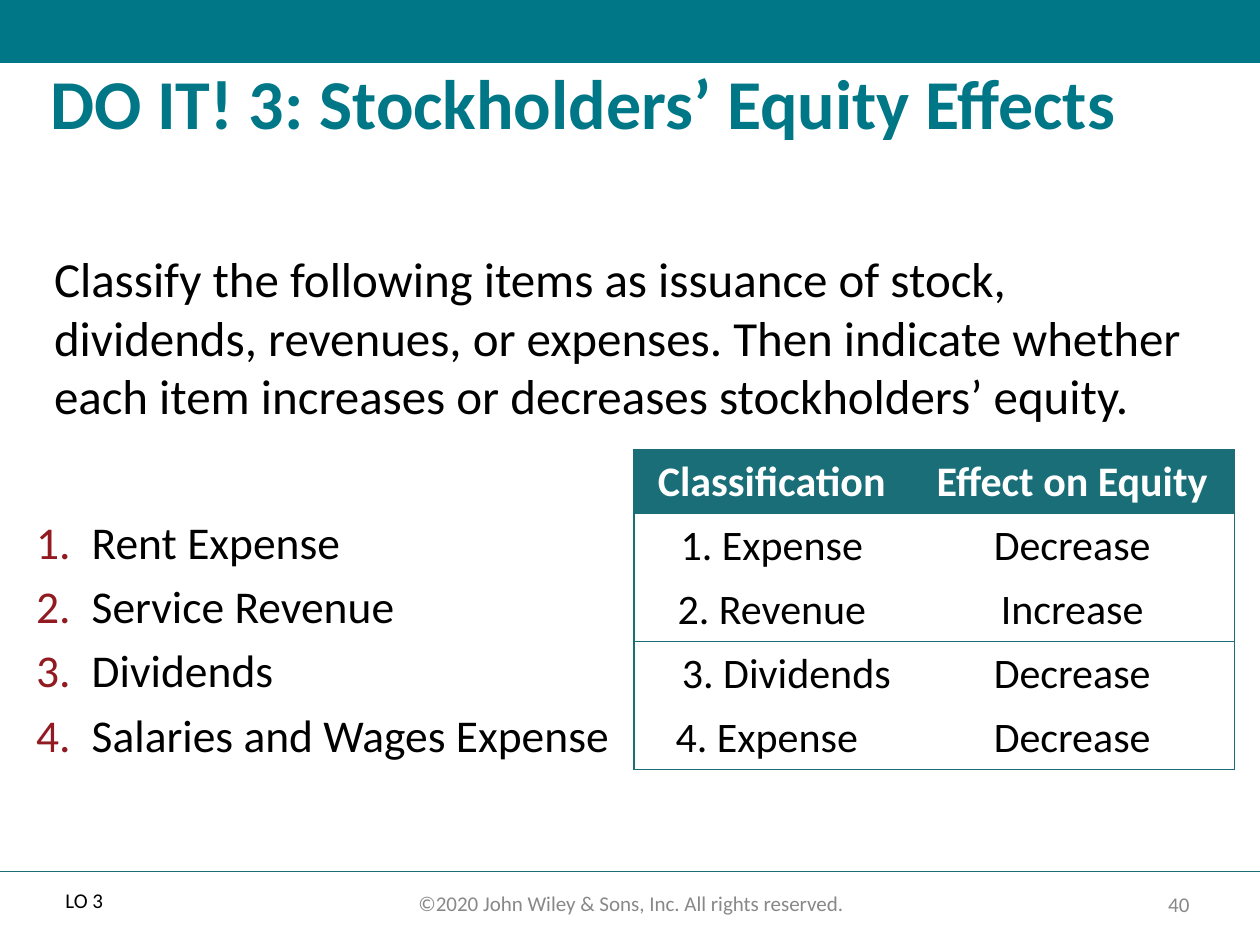
from lxml.etree import SubElement
from pptx import Presentation
from pptx.dml.color import RGBColor
from pptx.enum.shapes import MSO_CONNECTOR, MSO_SHAPE
from pptx.enum.text import MSO_ANCHOR, PP_ALIGN
from pptx.oxml import parse_xml
from pptx.oxml.ns import nsdecls, qn
from pptx.util import Cm, Pt

COLORS = {"teal": "007787", "deep": "196E78", "red": "911B21",
          "gray": "888888", "black": "000000", "white": "FFFFFF"}

# text, (left, top, width, height) in cm, font, paragraph format, anchor
TEXTS = [
    ("©2020 John Wiley & Sons, Inc. All rights reserved.",
     (7.72, 17.83, 10.01, 0.76), {"size": Pt(12)}, "gray",
     {"alignment": PP_ALIGN.CENTER}, MSO_ANCHOR.TOP),
    ("40", (22.99, 17.88, 1.55, 0.71), {"size": Pt(12)}, "gray",
     {"alignment": PP_ALIGN.CENTER}, MSO_ANCHOR.MIDDLE),
    ("DO IT! 3: Stockholders’ Equity Effects",
     (0.76, 1.27, 23.72, 2.72), {"size": Pt(40), "bold": True}, "teal",
     {"line_spacing": 0.9}, MSO_ANCHOR.TOP),
    ("Classify the following items as issuance of stock, dividends, revenues, "
     "or expenses. Then indicate whether each item increases or decreases "
     "stockholders’ equity.",
     (0.84, 4.88, 23.7, 4.01), {"size": Pt(28)}, "black", {}, MSO_ANCHOR.TOP),
    ("LO 3", (1.07, 17.83, 1.55, 0.76), {"size": Pt(12)}, "black",
     {"line_spacing": 0.9}, MSO_ANCHOR.TOP),
]
ITEMS = ["Rent Expense", "Service Revenue", "Dividends",
         "Salaries and Wages Expense"]
ITEMS_BOX = (0.48, 10.24, 12.85, 7.06)
ITEM_INDENT = Cm(1.12)

ANSWERS = [
    ("Classification", "Effect on Equity"),
    ("1. Expense", "Decrease"),
    ("2. Revenue", "Increase"),
    ("3. Dividends", "Decrease"),
    ("4. Expense", "Decrease"),
]
ANSWER_COLUMNS = (5.56, 6.55)
ANSWER_ROW = 1.29
RULED_BELOW = (0, 2, 4)
INDENTED = {(3, 0), (4, 0)}
LEFT_ALIGNED = {(4, 0)}


def rgb(name):
    return RGBColor.from_string(COLORS[name])


def apply(target, values):
    for key, value in values.items():
        setattr(target, key, value)


def set_font(paragraph, values, color):
    apply(paragraph.font, {"name": "Calibri", **values})
    paragraph.font.color.rgb = rgb(color)


def add_frame(slide, box, anchor=MSO_ANCHOR.TOP):
    frame = slide.shapes.add_textbox(*map(Cm, box)).text_frame
    apply(frame, {"word_wrap": True, "vertical_anchor": anchor})
    return frame


def add_number(paragraph):
    """Give the paragraph a red automatic number and a hanging indent."""
    properties = paragraph._p.get_or_add_pPr()
    properties.set("marL", str(ITEM_INDENT))
    properties.set("indent", str(-ITEM_INDENT))
    bullet_color = SubElement(properties, qn("a:buClr"))
    SubElement(bullet_color, qn("a:srgbClr"), val=COLORS["red"])
    SubElement(properties, qn("a:buAutoNum"), type="arabicPeriod")


def set_borders(cell, shown):
    """Draw the sides named in shown and clear the other ones."""
    properties = cell._tc.get_or_add_tcPr()
    for place, side in enumerate("LRTB"):
        paint = (f'<a:solidFill><a:srgbClr val="{COLORS["deep"]}"/></a:solidFill>'
                 if side in shown else "<a:noFill/>")
        properties.insert(place, parse_xml(
            f'<a:ln{side} {nsdecls("a")} w="{Pt(0.75)}">{paint}</a:ln{side}>'))


def add_answers(slide):
    table = slide.shapes.add_table(
        len(ANSWERS), len(ANSWER_COLUMNS), Cm(12.78), Cm(9.07),
        Cm(sum(ANSWER_COLUMNS)), Cm(ANSWER_ROW * len(ANSWERS))).table
    apply(table, {"first_row": False, "horz_banding": False})
    for column, width in zip(table.columns, ANSWER_COLUMNS):
        column.width = Cm(width)
    for r, answer in enumerate(ANSWERS):
        table.rows[r].height = Cm(ANSWER_ROW)
        header = r == 0
        for c, wording in enumerate(answer):
            cell = table.cell(r, c)
            cell.text = wording
            if (r, c) in INDENTED:
                cell.margin_left = Cm(0.84)
            paragraph = cell.text_frame.paragraphs[0]
            paragraph.alignment = (PP_ALIGN.LEFT if (r, c) in LEFT_ALIGNED
                                   else PP_ALIGN.CENTER)
            set_font(paragraph, {"size": Pt(24), "bold": header},
                     "white" if header else "black")
            if header:
                cell.fill.solid()
                cell.fill.fore_color.rgb = rgb("deep")
            else:
                cell.fill.background()
            above = "T" if header or r - 1 in RULED_BELOW else ""
            below = "B" if r in RULED_BELOW else ""
            set_borders(cell, "LR"[c] + above + below)


def main():
    presentation = Presentation()
    apply(presentation, {"slide_width": Cm(25.4), "slide_height": Cm(19.05)})
    slide = presentation.slides.add_slide(presentation.slide_layouts[6])

    banner = slide.shapes.add_shape(MSO_SHAPE.RECTANGLE, 0, 0, Cm(25.4), Cm(1.27))
    banner.shadow.inherit = False
    banner.fill.solid()
    banner.fill.fore_color.rgb = rgb("teal")
    banner.line.fill.background()

    footer_rule = slide.shapes.add_connector(
        MSO_CONNECTOR.STRAIGHT, 0, Cm(17.57), Cm(25.4), Cm(17.57))
    footer_rule.line.width = Pt(1)
    footer_rule.line.color.rgb = rgb("deep")
    SubElement(footer_rule._element.spPr, qn("a:effectLst"))

    for wording, box, font, color, layout, anchor in TEXTS:
        paragraph = add_frame(slide, box, anchor).paragraphs[0]
        paragraph.text = wording
        apply(paragraph, layout)
        set_font(paragraph, font, color)

    items = add_frame(slide, ITEMS_BOX)
    for place, item in enumerate(ITEMS):
        paragraph = items.add_paragraph() if place else items.paragraphs[0]
        paragraph.text = item
        add_number(paragraph)
        if place:
            paragraph.space_before = Pt(5.5)
        set_font(paragraph, {"size": Pt(26)}, "black")

    add_answers(slide)
    presentation.save("out.pptx")


if __name__ == "__main__":
    main()
